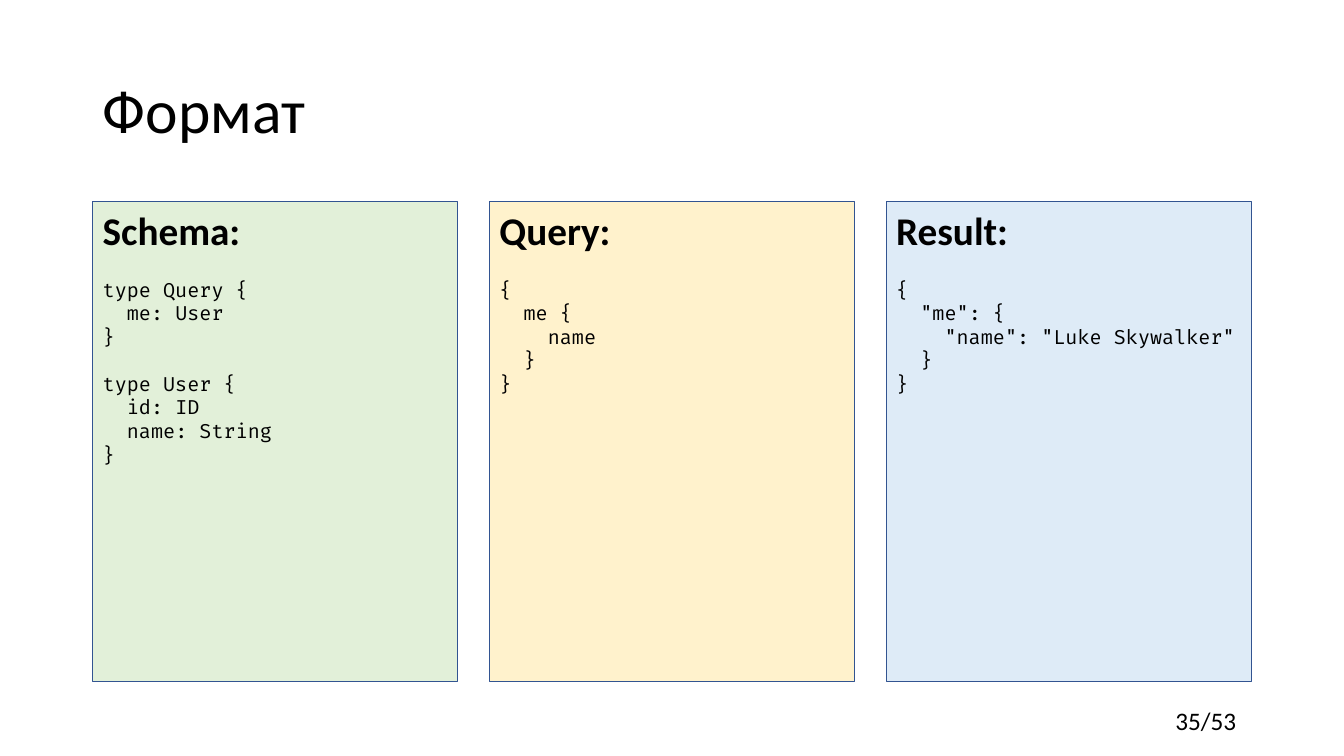
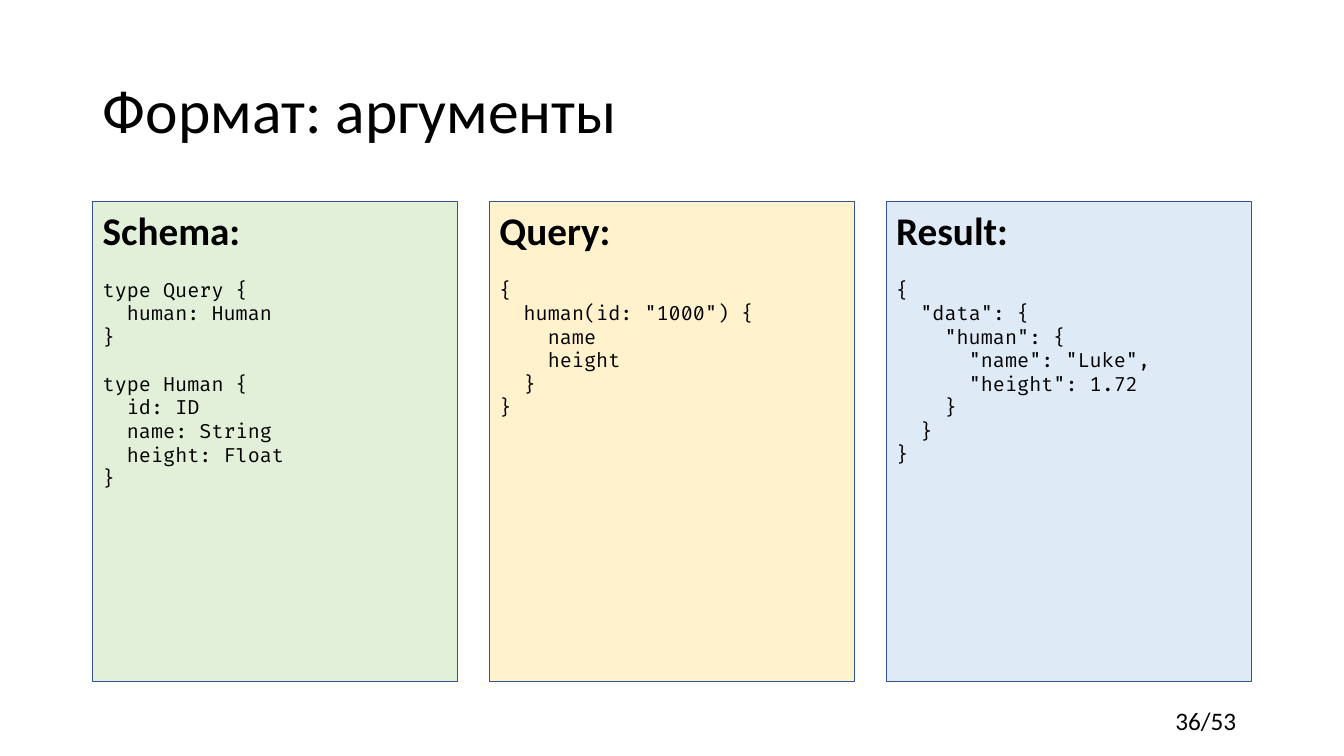
from dataclasses import dataclass

from pptx import Presentation
from pptx.dml.color import RGBColor
from pptx.enum.shapes import MSO_SHAPE
from pptx.enum.text import MSO_ANCHOR, MSO_AUTO_SIZE, PP_ALIGN
from pptx.slide import Slide
from pptx.text.text import TextFrame
from pptx.util import Inches, Pt

RECTANGLE = MSO_SHAPE.RECTANGLE
TOP, MIDDLE = MSO_ANCHOR.TOP, MSO_ANCHOR.MIDDLE
LEFT = PP_ALIGN.LEFT
NO_AUTOFIT = MSO_AUTO_SIZE.NONE

COLORS = {
    "text": "000000",
    "border": "325491",
    "schema": "E2F0D9",
    "query": "FFF2CC",
    "result": "DEEBF7",
}
BODY_FONT, CODE_FONT = "Calibri", "Fira Code"
TITLE_SIZE, HEADING_SIZE, CODE_SIZE, PAGE_SIZE = 44, 28, 14, 18

SLIDE_WIDTH, SLIDE_HEIGHT = 13.33, 7.5
MARGIN = 0.92
CONTENT_WIDTH = SLIDE_WIDTH - 2 * MARGIN
COLUMN_COUNT = 3
COLUMN_WIDTH = 3.62
COLUMN_PITCH = (CONTENT_WIDTH - COLUMN_WIDTH) / (COLUMN_COUNT - 1)
COLUMN_TOP, COLUMN_HEIGHT = 2, 4.76
TITLE_TOP, TITLE_HEIGHT = 0.4, 1.45
PAGE_WIDTH, PAGE_HEIGHT, PAGE_TOP = 0.85, 0.4, 6.95

INDENT_SPACES = 2
INDENT_WIDTH = 0.24
SECTION_GAP = 17
FIRST_PAGE, PAGE_COUNT = 35, 53


@dataclass(frozen=True)
class Panel:
    heading: str
    fill: str
    code: str


@dataclass(frozen=True)
class FormatSlide:
    title: str
    schema: str
    query: str
    result: str

    def panels(self) -> list[Panel]:
        return [
            Panel("Schema:", "schema", self.schema),
            Panel("Query:", "query", self.query),
            Panel("Result:", "result", self.result),
        ]


SLIDES = [
    FormatSlide(
        title="Формат",
        schema="""type Query {
  me: User
}

type User {
  id: ID
  name: String
}""",
        query="""{
  me {
    name
  }
}""",
        result="""{
  "me": {
    "name": "Luke Skywalker"
  }
}""",
    ),
    FormatSlide(
        title="Формат: аргументы",
        schema="""type Query {
  human: Human
}

type Human {
  id: ID
  name: String
  height: Float
}""",
        query="""{
  human(id: "1000") {
    name
    height
  }
}""",
        result="""{
  "data": {
    "human": {
      "name": "Luke",
      "height": 1.72
    }
  }
}""",
    ),
]


def rgb(name: str) -> RGBColor:
    return RGBColor.from_string(COLORS[name])


def write(frame: TextFrame, text: str, *, size: float, font: str = BODY_FONT,
          bold: bool = False, indent: int = 0, space_before: float = 0,
          line_spacing: float = 1.0) -> None:
    """Fill the frame's first paragraph, or append one if it is taken."""
    first = frame.paragraphs[0]
    paragraph = frame.add_paragraph() if first.runs else first
    paragraph.alignment = LEFT
    paragraph.space_before = Pt(space_before)
    paragraph.line_spacing = line_spacing
    if indent:
        properties = paragraph._p.get_or_add_pPr()
        properties.set("marL", str(Inches(indent * INDENT_WIDTH)))
        properties.set("indent", "0")
    run = paragraph.add_run()
    run.text = text
    run.font.name = font
    run.font.size = Pt(size)
    run.font.bold = bold
    run.font.color.rgb = rgb("text")


def write_code(frame: TextFrame, code: str) -> None:
    """Turn leading spaces into indents and section breaks into spacing."""
    for section in code.split("\n\n"):
        for row, line in enumerate(section.splitlines()):
            statement = line.lstrip()
            write(frame, statement, size=CODE_SIZE, font=CODE_FONT,
                  indent=(len(line) - len(statement)) // INDENT_SPACES,
                  space_before=0 if row else SECTION_GAP)


def add_title(slide: Slide, text: str) -> None:
    title = slide.shapes.title
    title.left, title.top = Inches(MARGIN), Inches(TITLE_TOP)
    title.width, title.height = Inches(CONTENT_WIDTH), Inches(TITLE_HEIGHT)
    frame = title.text_frame
    frame.auto_size = NO_AUTOFIT
    frame.vertical_anchor = MIDDLE
    write(frame, text, size=TITLE_SIZE, line_spacing=0.9)


def add_panel(slide: Slide, column: int, panel: Panel) -> None:
    box = slide.shapes.add_shape(
        RECTANGLE, Inches(MARGIN + column * COLUMN_PITCH), Inches(COLUMN_TOP),
        Inches(COLUMN_WIDTH), Inches(COLUMN_HEIGHT))
    box.shadow.inherit = False
    box.fill.solid()
    box.fill.fore_color.rgb = rgb(panel.fill)
    box.line.color.rgb = rgb("border")
    box.line.width = Pt(1)
    frame = box.text_frame
    frame.word_wrap = True
    frame.vertical_anchor = TOP
    write(frame, panel.heading, size=HEADING_SIZE, bold=True)
    write_code(frame, panel.code)


def add_page_number(slide: Slide, number: int) -> None:
    box = slide.shapes.add_textbox(
        Inches(SLIDE_WIDTH - MARGIN - PAGE_WIDTH), Inches(PAGE_TOP),
        Inches(PAGE_WIDTH), Inches(PAGE_HEIGHT))
    box.text_frame.word_wrap = False
    write(box.text_frame, f"{number}/{PAGE_COUNT}", size=PAGE_SIZE)


def main() -> None:
    deck = Presentation()
    deck.slide_width, deck.slide_height = Inches(SLIDE_WIDTH), Inches(SLIDE_HEIGHT)
    title_only = deck.slide_layouts.get_by_name("Title Only")
    for page, content in enumerate(SLIDES, start=FIRST_PAGE):
        slide = deck.slides.add_slide(title_only)
        add_title(slide, content.title)
        for column, panel in enumerate(content.panels()):
            add_panel(slide, column, panel)
        add_page_number(slide, page)
    deck.save("out.pptx")


if __name__ == "__main__":
    main()
